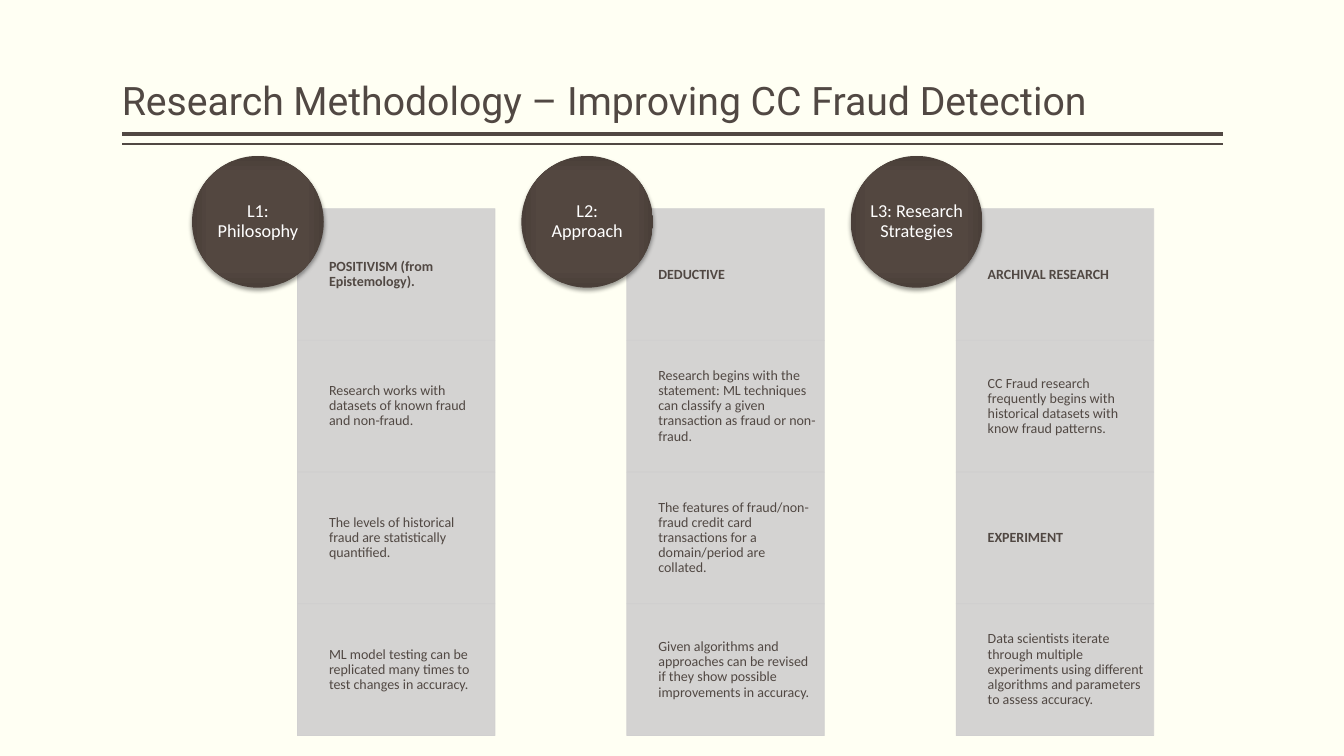
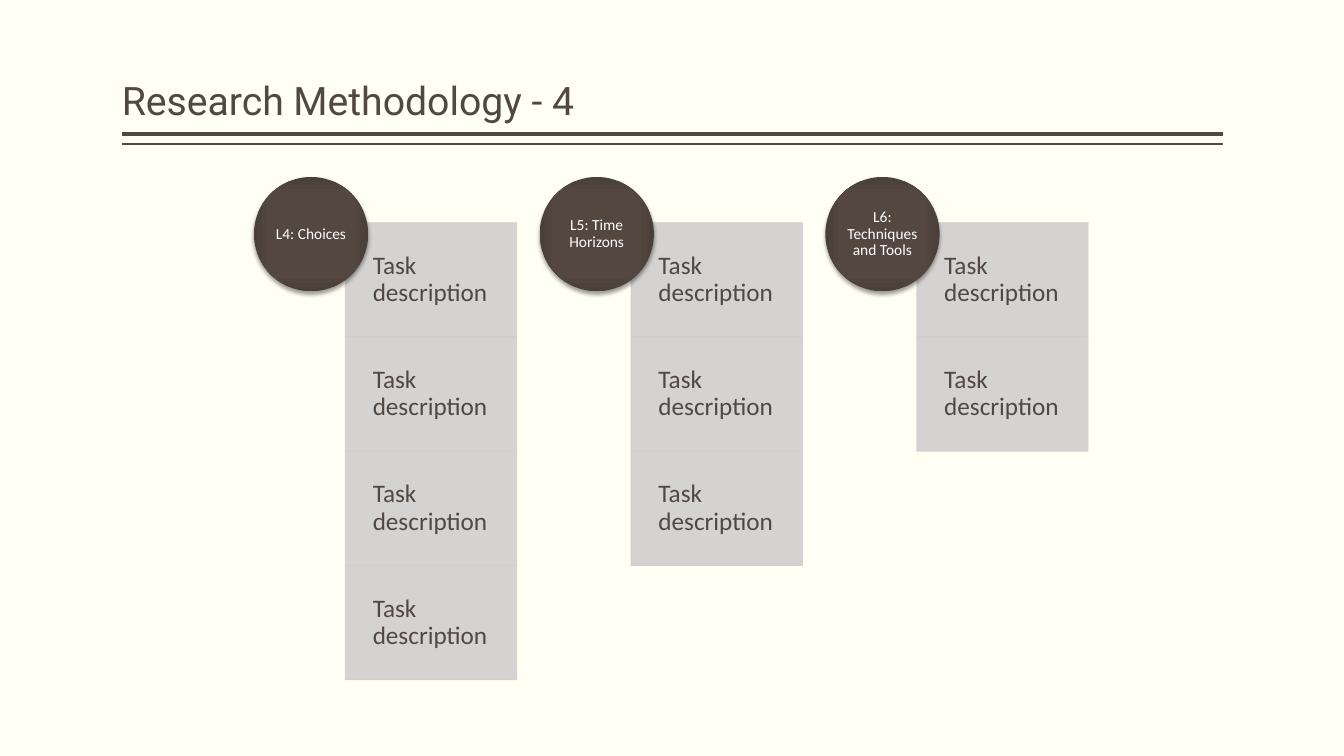
from lxml.etree import SubElement
from pptx import Presentation
from pptx.dml.color import RGBColor
from pptx.enum.shapes import MSO_CONNECTOR, MSO_SHAPE
from pptx.enum.text import MSO_ANCHOR, PP_ALIGN
from pptx.oxml import parse_xml
from pptx.oxml.ns import nsdecls, qn
from pptx.util import Cm, Pt

PAPER, INK, GREY, WHITE = "FFFFF3", "514843", "D0CFCF", "FFFFFF"
DISC_STOPS = [(0, "544740"), (71, "534740"), (100, "4A3F39")]
LEFT, RIGHT = 3.07, 30.81
RULES = [(3.38, 3), (3.63, 1)]

TASK = "Task description"
HEADS = {"POSITIVISM (from Epistemology).", "DEDUCTIVE", "ARCHIVAL RESEARCH", "EXPERIMENT"}
LAYERS = [
    ("L1: Philosophy", [
        "POSITIVISM (from Epistemology).",
        "Research works with datasets of known fraud and non-fraud.",
        "The levels of historical fraud are statistically quantified.",
        "ML model testing can be replicated many times to test changes in accuracy.",
    ]),
    ("L2: Approach", [
        "DEDUCTIVE",
        "Research begins with the statement: ML techniques can classify a given "
        "transaction as fraud or non-fraud.",
        "The features of fraud/non-fraud credit card transactions for a "
        "domain/period are collated.",
        "Given algorithms and approaches can be revised if they show possible "
        "improvements in accuracy.",
    ]),
    ("L3: Research Strategies", [
        "ARCHIVAL RESEARCH",
        "CC Fraud research frequently begins with historical datasets with know "
        "fraud patterns.",
        "EXPERIMENT",
        "Data scientists iterate through multiple experiments using different "
        "algorithms and parameters to assess accuracy.",
    ]),
]
PLANS = [
    ("L4: Choices", [TASK] * 4),
    ("L5: Time Horizons", [TASK] * 3),
    ("L6: Techniques and Tools", [TASK] * 2),
]


def color(code):
    return RGBColor.from_string(code)


def write(frame, text, font, size, code, align=PP_ALIGN.LEFT, bold=False):
    frame.text = text
    frame.word_wrap = True
    para = frame.paragraphs[0]
    para.alignment = align
    para.line_spacing = 0.9
    style = para.runs[0].font
    style.name, style.size, style.bold = font, Pt(size), bold
    style.color.rgb = color(code)


def inset(frame, left, top, right, bottom):
    frame.margin_left, frame.margin_top = Cm(left), Cm(top)
    frame.margin_right, frame.margin_bottom = Cm(right), Cm(bottom)


def add_rule(slide, y, weight):
    rule = slide.shapes.add_connector(
        MSO_CONNECTOR.STRAIGHT, Cm(RIGHT), Cm(y), Cm(LEFT), Cm(y))
    rule.line.color.rgb = color(INK)
    rule.line.width = Pt(weight)
    SubElement(rule._element.spPr, qn("a:effectLst"))


def add_page(deck, text):
    """Add a slide with its title and the double rule below it."""
    slide = deck.slides.add_slide(deck.slide_layouts[5])
    for y, weight in RULES:
        add_rule(slide, y, weight)
    title = slide.shapes.title
    title.left, title.top = Cm(LEFT), Cm(0.2)
    title.width, title.height = Cm(RIGHT - LEFT), Cm(3.05)
    frame = title.text_frame
    write(frame, text, "Roboto", 28, INK)
    inset(frame, 0, 0.13, 0, 0.13)
    frame.vertical_anchor = MSO_ANCHOR.BOTTOM
    return slide


def add_shape(slide, kind, x, y, width, height):
    shape = slide.shapes.add_shape(kind, Cm(x), Cm(y), Cm(width), Cm(height))
    shape.shadow.inherit = False
    shape.text_frame.vertical_anchor = MSO_ANCHOR.MIDDLE
    return shape


def add_cell(slide, text, x, y, unit, size, pad):
    cell = add_shape(slide, MSO_SHAPE.RECTANGLE, x, y, 1.5 * unit, unit)
    cell.fill.solid()
    cell.fill.fore_color.rgb = color(GREY)
    cell.line.color.rgb = color(GREY)
    cell.line.width = Pt(0.5)
    for tint in cell._element.spPr.iter(qn("a:srgbClr")):
        SubElement(tint, qn("a:alpha"), val="90000")
    write(cell.text_frame, text, "Calibri", size, INK, bold=text in HEADS)
    inset(cell.text_frame, 0.24 * unit, pad, pad, pad)


def add_disc(slide, text, x, y, unit, size):
    disc = add_shape(slide, MSO_SHAPE.OVAL, x, y, unit, unit)
    disc.line.fill.background()
    stops = "".join(
        f'<a:gs pos="{place * 1000}"><a:srgbClr val="{code}"/></a:gs>'
        for place, code in DISC_STOPS)
    props = disc._element.spPr
    props.find(qn("a:prstGeom")).addnext(parse_xml(
        f'<a:gradFill {nsdecls("a")} rotWithShape="1"><a:gsLst>{stops}</a:gsLst>'
        '<a:path path="rect"><a:fillToRect l="50000" t="50000" r="50000" b="50000"/>'
        '</a:path></a:gradFill>'))
    props.find(qn("a:effectLst")).append(parse_xml(
        f'<a:outerShdw {nsdecls("a")} blurRad="{Pt(3.1)}" dist="{Pt(2)}" '
        'dir="5400000" rotWithShape="0"><a:srgbClr val="000000">'
        '<a:alpha val="38000"/></a:srgbClr></a:outerShdw>'))
    write(disc.text_frame, text, "Calibri", size, WHITE, PP_ALIGN.CENTER)
    inset(disc.text_frame, 0, 0, 0, 0)


def add_stacks(slide, stacks, x, y, unit, name_size, cell_size, pad):
    """Place columns of cells, each under a disc whose diameter is the unit."""
    for col, (name, cells) in enumerate(stacks):
        left = x + 2.5 * unit * col
        for row, text in enumerate(cells):
            add_cell(slide, text, left + 0.8 * unit, y + (0.4 + row) * unit,
                     unit, cell_size, pad)
        add_disc(slide, name, left, y, unit, name_size)


def main():
    deck = Presentation()
    deck.slide_width, deck.slide_height = Cm(33.87), Cm(19.05)
    paper = deck.slide_master.background.fill
    paper.solid()
    paper.fore_color.rgb = color(PAPER)

    slide = add_page(deck, "Research Methodology – Improving CC Fraud Detection")
    add_stacks(slide, LAYERS, 4.84, 3.93, 3.32, 13, 10, 0.2)
    slide = add_page(deck, "Research Methodology - 4")
    add_stacks(slide, PLANS, 6.4, 4.46, 2.88, 11, 18, 0.36)
    deck.save("out.pptx")


if __name__ == "__main__":
    main()
